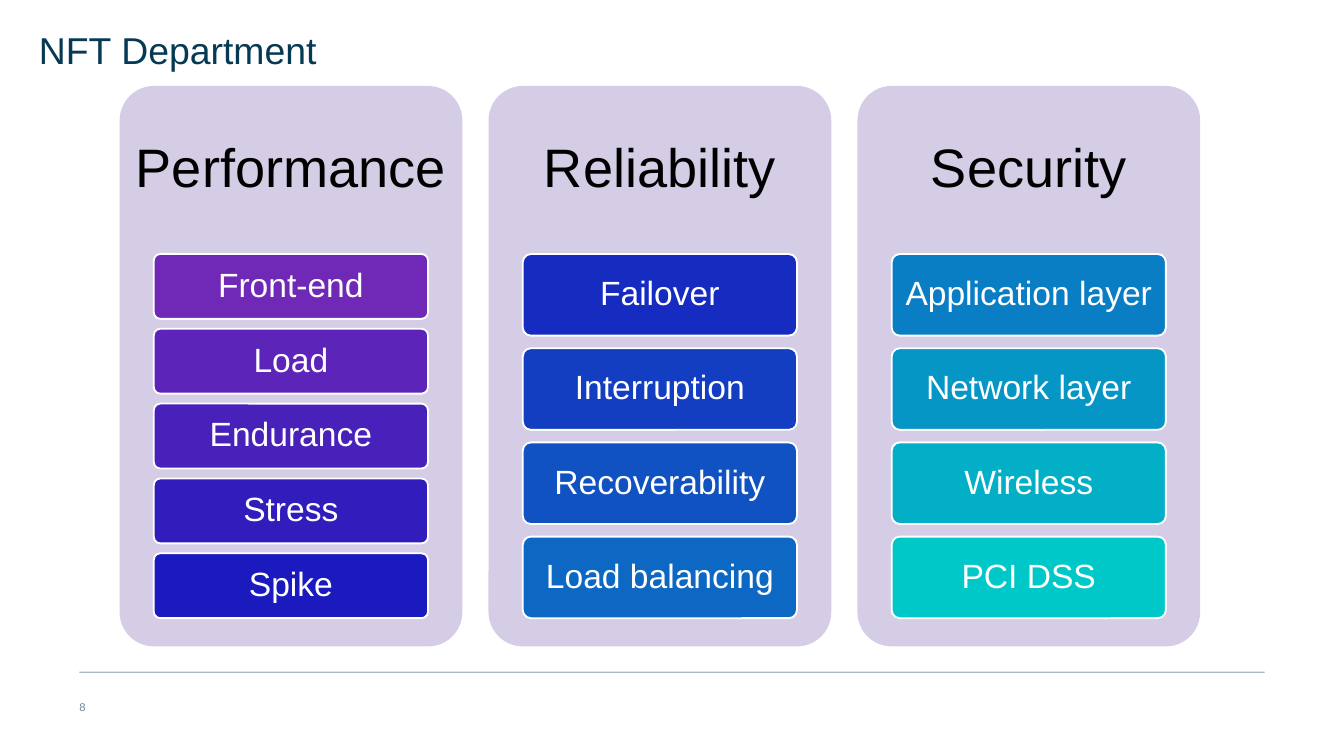
"""Build the NFT Department slide: three columns of testing areas."""
import dataclasses

import pptx
import pptx.dml.color
import pptx.enum.shapes
import pptx.enum.text
import pptx.util
from pptx.util import Inches

NAVY = "063954"
WHITE = "FFFFFF"
PANEL_FILL = "D5CDE6"
PANEL_LEFT, PANEL_TOP, PANEL_WIDTH, PANEL_HEIGHT = 0.89, 0.64, 2.55, 4.17
PANEL_STEP = 2.745
HEADING_HEIGHT = 1.25
PILL_INDENT, PILL_WIDTH = 0.255, 2.04
PILL_TOP, PILL_BOTTOM = 1.89, 4.6
GAP_RATIO = 2 / 13
SHAPES = pptx.enum.shapes.MSO_SHAPE


@dataclasses.dataclass(frozen=True)
class Area:
    """One testing area and its fill colour."""
    name: str
    fill: str


@dataclasses.dataclass(frozen=True)
class Column:
    """A heading and the areas stacked below it."""
    heading: str
    areas: tuple[Area, ...]


@dataclasses.dataclass(frozen=True)
class Style:
    """How one line of text is set."""
    size: float
    colour: str
    spacing: float = 1.0
    centred: bool = False
    margins: tuple[float, float] = (0, 0)


COLUMNS = (
    Column("Performance", (
        Area("Front-end", "7028B7"),
        Area("Load", "5C24B9"),
        Area("Endurance", "4821BA"),
        Area("Stress", "311DBC"),
        Area("Spike", "1A1ABE"),
    )),
    Column("Reliability", (
        Area("Failover", "162BBF"),
        Area("Interruption", "133EC1"),
        Area("Recoverability", "1052C2"),
        Area("Load balancing", "0C68C3"),
    )),
    Column("Security", (
        Area("Application layer", "097EC5"),
        Area("Network layer", "0696C6"),
        Area("Wireless", "03AEC7"),
        Area("PCI DSS", "00C8C8"),
    )),
)

TITLE = Style(20, NAVY, spacing=1.1)
NUMBER = Style(6, "698898")
HEADING = Style(29, "000000", 0.9, True, (0.12, 0.12))
PILL = Style(18, WHITE, 0.9, True, (0.07, 0.06))


def colour(value: str) -> pptx.dml.color.RGBColor:
    """Turn a hex string into a colour."""
    return pptx.dml.color.RGBColor.from_string(value)


def write(box, text: str, style: Style) -> None:
    """Set one line of text in a box or shape."""
    frame = box.text_frame
    frame.word_wrap = True
    frame.margin_left = frame.margin_right = Inches(style.margins[0])
    frame.margin_top = frame.margin_bottom = Inches(style.margins[1])
    anchors = pptx.enum.text.MSO_ANCHOR
    frame.vertical_anchor = anchors.MIDDLE if style.centred else anchors.TOP
    para = frame.paragraphs[0]
    aligns = pptx.enum.text.PP_ALIGN
    para.alignment = aligns.CENTER if style.centred else aligns.LEFT
    para.line_spacing = style.spacing
    span = para.add_run()
    span.text = text
    span.font.name = "Arial"
    span.font.size = pptx.util.Pt(style.size)
    span.font.color.rgb = colour(style.colour)


def add_text(page, left: float, top: float, width: float, height: float,
             text: str, style: Style) -> None:
    """Add a text box."""
    box = page.shapes.add_textbox(Inches(left), Inches(top), Inches(width), Inches(height))
    write(box, text, style)


def add_filled(page, kind, left: float, top: float, width: float, height: float, fill: str):
    """Add a filled shape without an outline."""
    shape = page.shapes.add_shape(
        kind, Inches(left), Inches(top), Inches(width), Inches(height))
    shape.shadow.inherit = False
    shape.fill.solid()
    shape.fill.fore_color.rgb = colour(fill)
    shape.line.fill.background()
    return shape


def add_rounded(page, left: float, top: float, width: float, height: float, fill: str):
    """Add a filled rectangle with rounded corners."""
    shape = add_filled(page, SHAPES.ROUNDED_RECTANGLE, left, top, width, height, fill)
    shape.adjustments[0] = 0.1
    return shape


def add_column(page, left: float, column: Column) -> None:
    """Draw a panel, its heading and evenly spaced areas."""
    add_rounded(page, left, PANEL_TOP, PANEL_WIDTH, PANEL_HEIGHT, PANEL_FILL)
    add_text(page, left, PANEL_TOP, PANEL_WIDTH, HEADING_HEIGHT, column.heading, HEADING)
    count = len(column.areas)
    height = (PILL_BOTTOM - PILL_TOP) / (count + (count - 1) * GAP_RATIO)
    for index, area in enumerate(column.areas):
        top = PILL_TOP + index * height * (1 + GAP_RATIO)
        pill = add_rounded(page, left + PILL_INDENT, top, PILL_WIDTH, height, area.fill)
        pill.line.color.rgb = colour(WHITE)
        pill.line.width = pptx.util.Pt(1)
        write(pill, area.name, PILL)


def main() -> None:
    """Build and save the deck."""
    deck = pptx.Presentation()
    deck.slide_width = Inches(10)
    deck.slide_height = Inches(10 * 9 / 16)
    page = deck.slides.add_slide(deck.slide_layouts[6])
    add_filled(page, SHAPES.RECTANGLE, 0.59, 5, 8.82, 0.25 / 72, NAVY)
    add_text(page, 0.59, 5.21, 0.2, 0.1, "8", NUMBER)
    add_text(page, 0.29, 0.17, 4.54, 0.55, "NFT Department", TITLE)
    for index, column in enumerate(COLUMNS):
        add_column(page, PANEL_LEFT + index * PANEL_STEP, column)
    deck.save("out.pptx")


if __name__ == "__main__":
    main()
